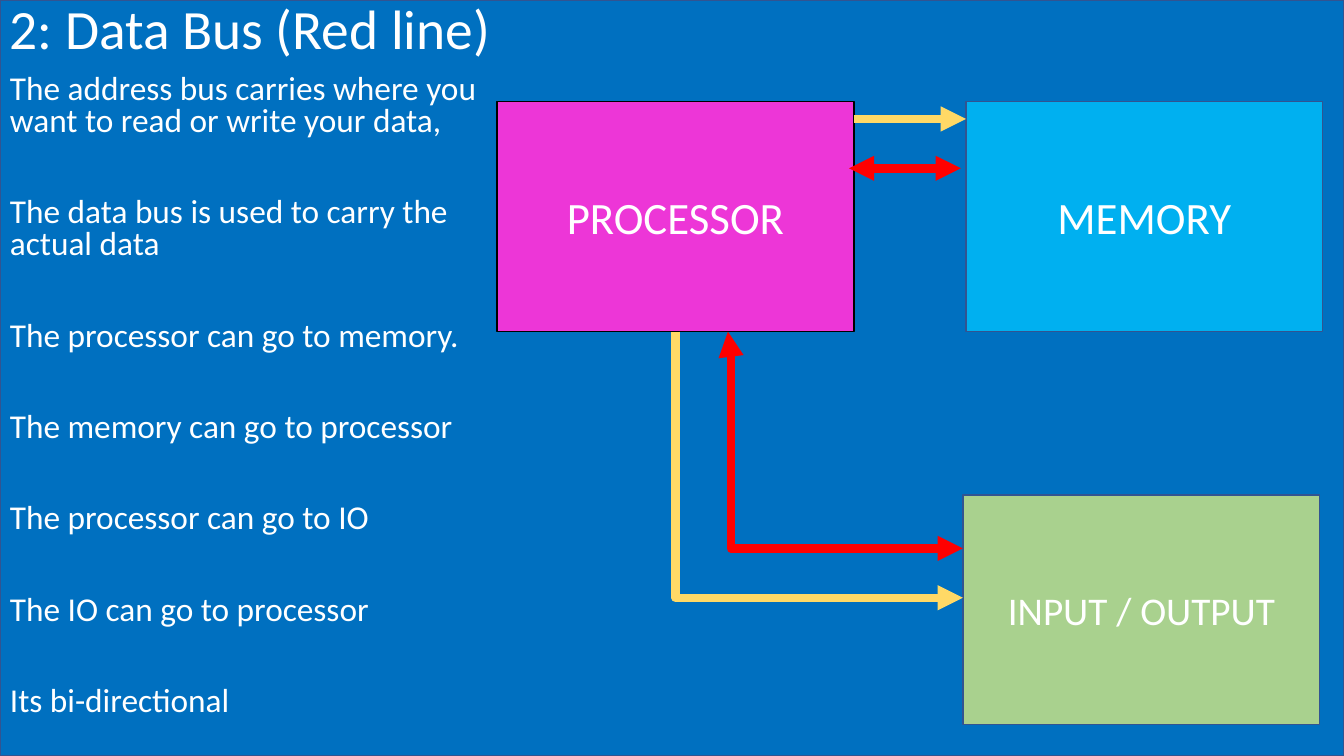
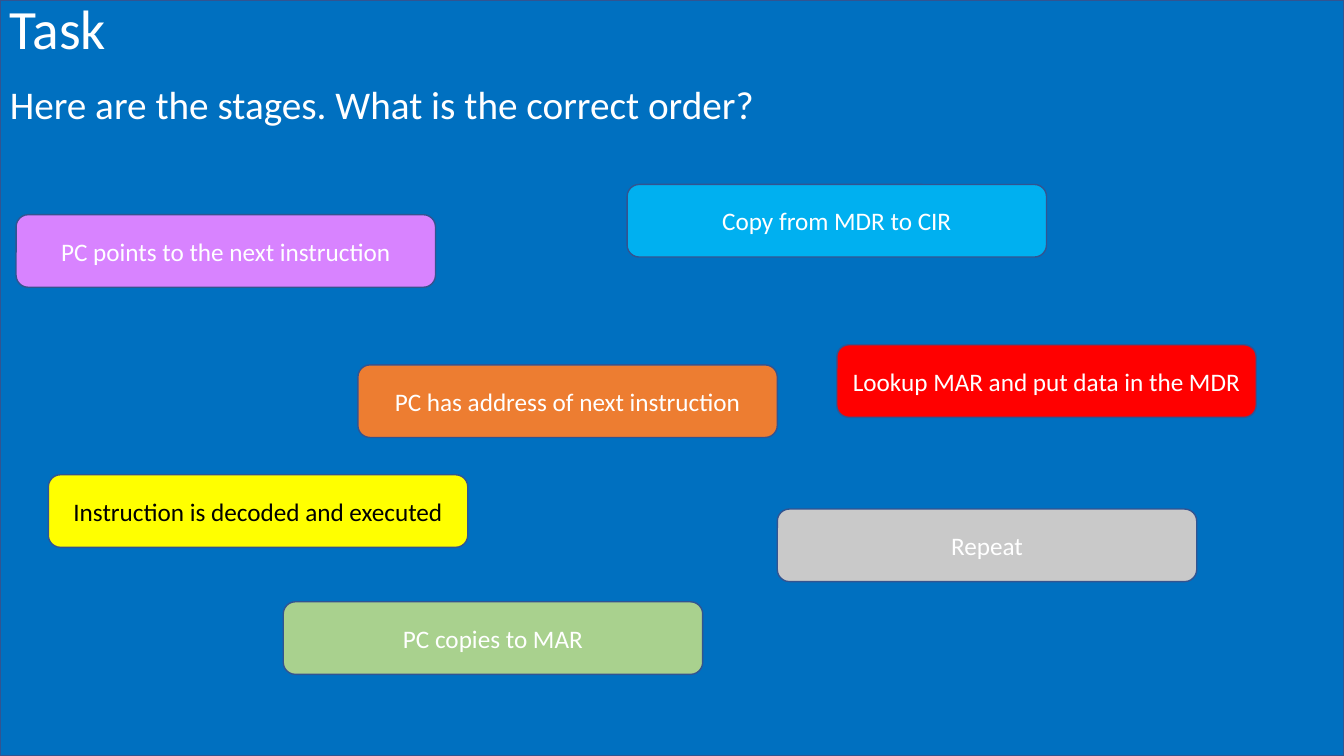
"""Build two slides on the data bus and the fetch-execute task."""
from lxml import etree
from pptx import Presentation
from pptx.dml.color import RGBColor
from pptx.enum.shapes import MSO_CONNECTOR, MSO_SHAPE
from pptx.enum.text import MSO_ANCHOR, PP_ALIGN
from pptx.oxml.ns import qn
from pptx.util import Inches, Pt

FONT = "Calibri"
WHITE = RGBColor(0xFF, 0xFF, 0xFF)
BLACK = RGBColor(0x00, 0x00, 0x00)
BLUE = RGBColor(0x00, 0x70, 0xC0)
NAVY = RGBColor(0x32, 0x54, 0x91)
MAGENTA = RGBColor(0xED, 0x36, 0xD7)
SKY = RGBColor(0x00, 0xB0, 0xF0)
GREEN = RGBColor(0xA9, 0xD1, 0x8E)
GOLD = RGBColor(0xFF, 0xD9, 0x66)
RED = RGBColor(0xFF, 0x00, 0x00)
ORANGE = RGBColor(0xED, 0x7D, 0x31)
VIOLET = RGBColor(0xD8, 0x83, 0xFF)
YELLOW = RGBColor(0xFF, 0xFF, 0x00)
GREY = RGBColor(0xC9, 0xC9, 0xC9)

SLIDE_W, SLIDE_H = 13.33, 7.5
UNIT_W, UNIT_H = 3.54, 2.28
STAGE_W, STAGE_H = 4.16, 0.72

BUS_NOTES = [
    "The address bus carries where you want to read or write your data,",
    "The data bus is used to carry the actual data",
    "The processor can go to memory.",
    "The memory can go to processor",
    "The processor can go to IO",
    "The IO can go to processor",
    "Its bi-directional",
]
UNITS = [
    ("PROCESSOR", 4.93, 1.01, MAGENTA, BLACK, 32),
    ("MEMORY", 9.58, 1.01, SKY, NAVY, 32),
    ("INPUT / OUTPUT", 9.55, 4.91, GREEN, NAVY, 28),
]
STAGES = [
    ("PC has address of next instruction", 3.55, 3.62, ORANGE, WHITE),
    ("PC copies to MAR", 2.81, 5.97, GREEN, WHITE),
    ("Lookup MAR and put data in the MDR", 8.3, 3.42, RED, WHITE),
    ("Copy from MDR to CIR", 6.22, 1.83, SKY, WHITE),
    ("PC points to the next instruction", 0.16, 2.13, VIOLET, WHITE),
    ("Instruction is decoded and executed", 0.48, 4.71, YELLOW, BLACK),
    ("Repeat", 7.71, 5.05, GREY, WHITE),
]


def style_font(font, size, color):
    font.name = FONT
    font.size = Pt(size)
    font.color.rgb = color


def add_box(slide, kind, left, top, width, height, fill, line=NAVY):
    box = slide.shapes.add_shape(
        kind, Inches(left), Inches(top), Inches(width), Inches(height))
    box.shadow.inherit = False
    box.fill.solid()
    box.fill.fore_color.rgb = fill
    box.line.color.rgb = line
    box.line.width = Pt(1)
    return box


def add_label(box, text, size, color=WHITE):
    frame = box.text_frame
    frame.word_wrap = True
    frame.vertical_anchor = MSO_ANCHOR.MIDDLE
    frame.text = text
    label = frame.paragraphs[0]
    label.alignment = PP_ALIGN.CENTER
    style_font(label.runs[0].font, size, color)


def add_text(slide, lines, top, width, height, size, spacing=0.9, gap=0,
             anchor=MSO_ANCHOR.TOP):
    area = slide.shapes.add_textbox(
        Inches(0), Inches(top), Inches(width), Inches(height))
    frame = area.text_frame
    frame.word_wrap = True
    frame.vertical_anchor = anchor
    frame.text = "\n".join(lines)
    for index, paragraph in enumerate(frame.paragraphs):
        paragraph.line_spacing = spacing
        if index:
            paragraph.space_before = Pt(gap)
        style_font(paragraph.runs[0].font, size, WHITE)


def add_bus(slide, start, end, color, two_way=False, bend=None):
    kind = MSO_CONNECTOR.STRAIGHT if bend is None else MSO_CONNECTOR.ELBOW
    bus = slide.shapes.add_connector(
        kind, *[Inches(value) for value in (*start, *end)])
    bus.line.color.rgb = color
    bus.line.width = Pt(6)
    properties = bus._element.spPr
    if bend is not None:
        guides = properties.find(qn("a:prstGeom")).get_or_add_avLst()
        etree.SubElement(guides, qn("a:gd"), name="adj1", fmla=f"val {bend}")
    outline = properties.find(qn("a:ln"))
    if two_way:
        etree.SubElement(outline, qn("a:headEnd"), type="triangle")
    etree.SubElement(outline, qn("a:tailEnd"), type="triangle")
    etree.SubElement(properties, qn("a:effectLst"))


def add_slide(deck, title):
    slide = deck.slides.add_slide(deck.slide_layouts[6])
    add_box(slide, MSO_SHAPE.RECTANGLE, 0, 0, SLIDE_W, SLIDE_H, BLUE)
    add_text(slide, [title], 0, SLIDE_W, 0.63, 39.6, anchor=MSO_ANCHOR.MIDDLE)
    return slide


def build_data_bus(deck):
    slide = add_slide(deck, "2: Data Bus (Red line)")
    add_text(slide, BUS_NOTES, 0.69, 4.93, 6.81, 23.8, spacing=0.8, gap=42.5)
    for name, left, top, fill, line, size in UNITS:
        unit = add_box(slide, MSO_SHAPE.RECTANGLE, left, top, UNIT_W, UNIT_H,
                       fill, line)
        add_label(unit, name, size)
    add_bus(slide, (8.47, 1.18), (9.58, 1.18), GOLD)
    add_bus(slide, (6.7, 3.29), (9.55, 5.93), GOLD, bend=0)
    add_bus(slide, (8.42, 1.67), (9.53, 1.67), RED, two_way=True)
    add_bus(slide, (7.22, 3.29), (9.55, 5.44), RED, two_way=True, bend=1200)


def build_task(deck):
    slide = add_slide(deck, "Task")
    add_text(slide, ["Here are the stages. What is the correct order?"],
             0.8, SLIDE_W, 6.7, 28)
    for name, left, top, fill, color in STAGES:
        stage = add_box(slide, MSO_SHAPE.ROUNDED_RECTANGLE, left, top,
                        STAGE_W, STAGE_H, fill)
        add_label(stage, name, 18, color)


def main():
    deck = Presentation()
    deck.slide_width = Inches(SLIDE_W)
    deck.slide_height = Inches(SLIDE_H)
    build_data_bus(deck)
    build_task(deck)
    deck.save("out.pptx")


if __name__ == "__main__":
    main()
